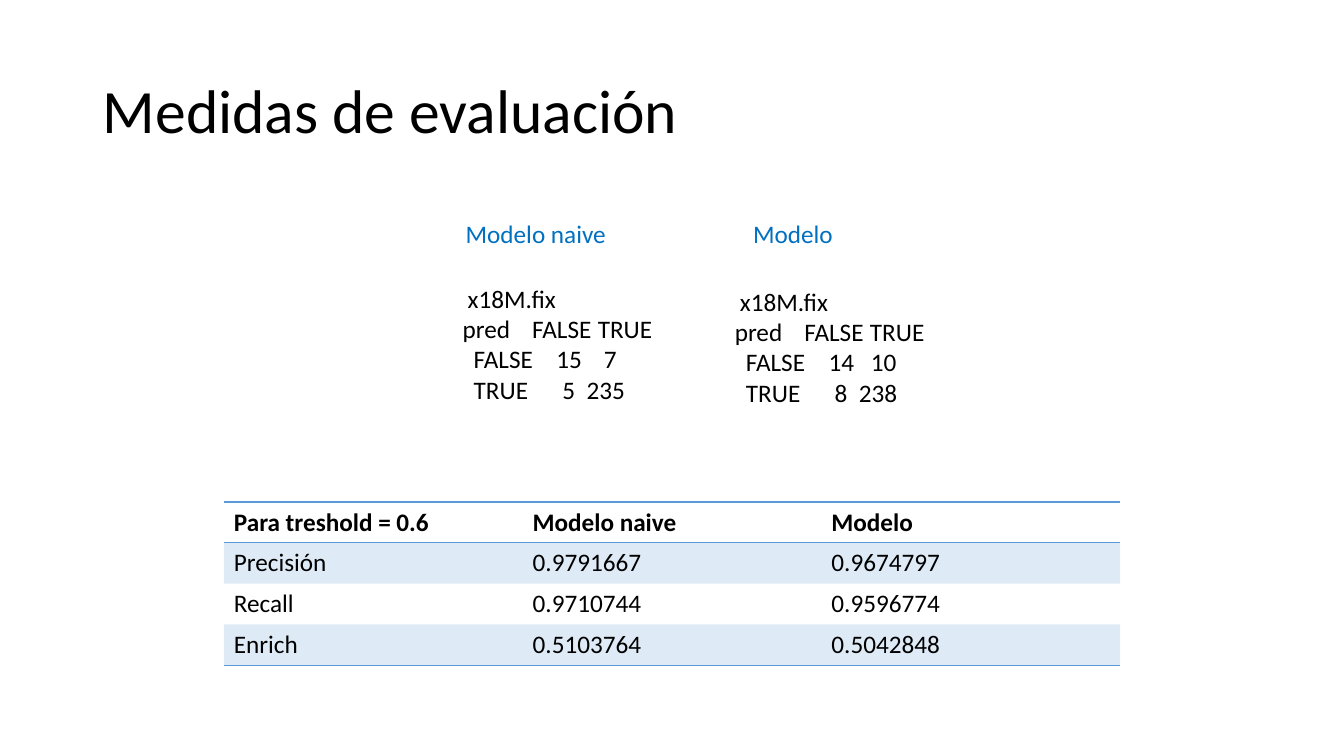
import pptx
import pptx.util
import pptx.dml.color
import pptx.enum.text
import pptx.oxml
import pptx.oxml.ns
from lxml import etree
from pptx.util import Inches

# Content
TITLE = "Medidas de evaluación"
HEADINGS = [  # text, left, width
    ("Modelo naive", 4.52, 2.38),
    ("Modelo", 7.37, 1.05),
]
HEADING_TOP, HEADING_HEIGHT = 2.12, 0.4
# Each matrix line lists its words with their distance from the text edge
MATRIX_HEAD = [
    [(0.05, "x18M.fix")],
    [(0, "pred"), (0.69, "FALSE"), (1.34, "TRUE")],
]
MATRICES = [  # left, top, width, data lines
    (4.49, 2.76, 2.18, [[(0.11, "FALSE"), (0.93, "15"), (1.4, "7")],
                        [(0.11, "TRUE"), (0.99, "5"), (1.23, "235")]]),
    (7.19, 2.79, 2.26, [[(0.11, "FALSE"), (0.93, "14"), (1.35, "10")],
                        [(0.11, "TRUE"), (0.99, "8"), (1.23, "238")]]),
]
MATRIX_HEIGHT = 1.31
MEASURES = [
    ("Para treshold = 0.6", "Modelo naive", "Modelo"),
    ("Precisión", "0.9791667", "0.9674797"),
    ("Recall", "0.9710744", "0.9596774"),
    ("Enrich", "0.5103764", "0.5042848"),
]
TABLE_LEFT, TABLE_TOP, TABLE_WIDTH, TABLE_HEIGHT = 2.22, 4.98, 8.89, 1.62
COLORS = {"text": "000000", "heading": "0070C0", "accent": "5B9BD5"}
FONT = "Calibri"
BAND_ALPHA = 20
NO_STYLE = "{2D5ABB26-0587-4C30-8999-92F81FD0307C}"
qn = pptx.oxml.ns.qn


def rgb(name):
    return pptx.dml.color.RGBColor.from_string(COLORS[name])


def add_span(para, text, size=18, color="text", bold=False):
    span = para.add_run()
    span.text = text
    span.font.name = FONT
    span.font.size = pptx.util.Pt(size)
    span.font.bold = bold
    span.font.color.rgb = rgb(color)


def add_text_box(page, left, top, width, height):
    box = page.shapes.add_textbox(Inches(left), Inches(top), Inches(width), Inches(height))
    box.text_frame.word_wrap = True
    return box.text_frame


def add_matrix_line(para, words):
    """Place each word at its own tab stop; a word at zero needs none."""
    stops = [place for place, word in words if place]
    tab_list = etree.SubElement(para._p.get_or_add_pPr(), qn("a:tabLst"))
    for place in stops:
        etree.SubElement(tab_list, qn("a:tab"), pos=str(Inches(place)), algn="l")
    line = "\t".join(word for place, word in words)
    add_span(para, "\t" + line if words[0][0] else line)


def add_border(cell, side, position):
    line = etree.Element(qn("a:" + side), w=str(pptx.util.Pt(1)))
    fill = etree.SubElement(line, qn("a:solidFill"))
    etree.SubElement(fill, qn("a:srgbClr"), val=COLORS["accent"])
    cell._tc.get_or_add_tcPr().insert(position, line)


def fill_band(cell):
    cell.fill.solid()
    cell.fill.fore_color.rgb = rgb("accent")
    color = cell._tc.tcPr.find(".//" + qn("a:srgbClr"))
    etree.SubElement(color, qn("a:alpha"), val=str(BAND_ALPHA * 1000))


def main():
    deck = pptx.Presentation()
    deck.slide_width, deck.slide_height = Inches(13.33), Inches(7.5)
    page = deck.slides.add_slide(deck.slide_layouts[5])

    # Title
    title = page.shapes.title
    title.left, title.top = Inches(0.92), Inches(0.4)
    title.width, title.height = Inches(11.5), Inches(1.45)
    title.text_frame.vertical_anchor = pptx.enum.text.MSO_ANCHOR.MIDDLE
    para = title.text_frame.paragraphs[0]
    para.alignment = pptx.enum.text.PP_ALIGN.LEFT
    para.line_spacing = 0.9
    add_span(para, TITLE, size=44)

    # Model headings
    for text, left, width in HEADINGS:
        frame = add_text_box(page, left, HEADING_TOP, width, HEADING_HEIGHT)
        add_span(frame.paragraphs[0], text, color="heading")

    # Confusion matrices
    for left, top, width, data_lines in MATRICES:
        frame = add_text_box(page, left, top, width, MATRIX_HEIGHT)
        for index, words in enumerate(MATRIX_HEAD + data_lines):
            para = frame.add_paragraph() if index else frame.paragraphs[0]
            add_matrix_line(para, words)

    # Table of measures
    last = len(MEASURES) - 1
    table = page.shapes.add_table(
        len(MEASURES), len(MEASURES[0]), Inches(TABLE_LEFT), Inches(TABLE_TOP),
        Inches(TABLE_WIDTH), Inches(TABLE_HEIGHT)).table
    table._tbl.tblPr.find(qn("a:tableStyleId")).text = NO_STYLE
    for row, values in enumerate(MEASURES):
        for column, value in enumerate(values):
            cell = table.cell(row, column)
            add_span(cell.text_frame.paragraphs[0], value, bold=row == 0)
            if row % 2:
                fill_band(cell)
            else:
                cell.fill.background()
            if row in (0, last):
                add_border(cell, "lnB", 0)
            if row == 0:
                add_border(cell, "lnT", 0)

    deck.save("out.pptx")


if __name__ == "__main__":
    main()
